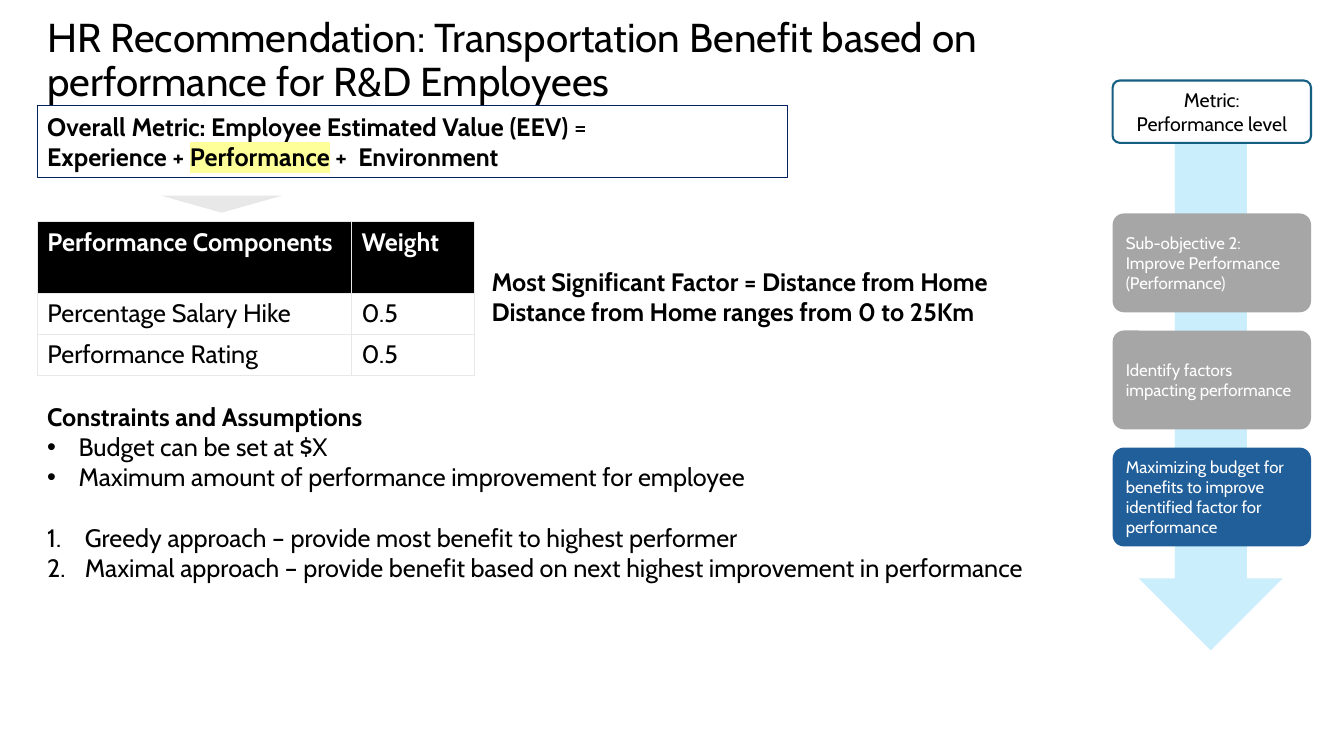
import pptx
import pptx.dml.color
import pptx.enum.shapes
import pptx.enum.text
import pptx.oxml
import pptx.oxml.ns
import pptx.util

Cm = pptx.util.Cm
Pt = pptx.util.Pt
SHAPE = pptx.enum.shapes.MSO_SHAPE
ALIGN = pptx.enum.text.PP_ALIGN
ANCHOR = pptx.enum.text.MSO_ANCHOR
NAMESPACE = pptx.oxml.ns.nsdecls("a")

FONT = "Cabin"
BLACK, WHITE, GREY, PALE = "000000", "FFFFFF", "A6A6A6", "E8E8E8"
LEFT = 0.94


def color(hex_string):
    return pptx.dml.color.RGBColor.from_string(hex_string)


def element(xml):
    return pptx.oxml.parse_xml(xml)


def add_run(paragraph, text, size, hex_color, bold=False, highlight=None):
    run = paragraph.add_run()
    run.text = text
    run.font.size = Pt(size)
    run.font.bold = bold
    run.font.color.rgb = color(hex_color)
    run.font.name = FONT
    if highlight:
        latin = run.font._element.find(pptx.oxml.ns.qn("a:latin"))
        latin.addprevious(element(
            f'<a:highlight {NAMESPACE}><a:srgbClr val="{highlight}"/></a:highlight>'))


def add_bullet(paragraph, bullet, indent):
    properties = paragraph._p.get_or_add_pPr()
    properties.set("marL", str(Cm(indent)))
    properties.set("indent", str(-Cm(indent)))
    properties.append(element(f'<a:buFont {NAMESPACE} typeface="Arial"/>'
                              if bullet == "•" else
                              f'<a:buFont {NAMESPACE} typeface="+mj-lt"/>'))
    properties.append(element(f'<a:buChar {NAMESPACE} char="•"/>'
                              if bullet == "•" else
                              f'<a:buAutoNum {NAMESPACE} type="{bullet}"/>'))


def write(frame, text, size=18, hex_color=BLACK, bold=False, align=ALIGN.LEFT,
          bullet=None, indent=0, space_before=0, line_spacing=None):
    first = frame.paragraphs[0]
    paragraph = frame.add_paragraph() if first.runs else first
    paragraph.alignment = align
    paragraph.space_before = Pt(space_before)
    if line_spacing:
        paragraph.line_spacing = line_spacing
    if bullet:
        add_bullet(paragraph, bullet, indent)
    pieces = [(text, bold, None)] if isinstance(text, str) else text
    for piece, piece_bold, highlight in pieces:
        add_run(paragraph, piece, size, hex_color, piece_bold, highlight)


def add_shape(slide, kind, box, fill=None, line=None, line_width=1,
              anchor=ANCHOR.MIDDLE):
    shape = slide.shapes.add_shape(kind, *map(Cm, box))
    shape.shadow.inherit = False
    if fill:
        shape.fill.solid()
        shape.fill.fore_color.rgb = color(fill)
    else:
        shape.fill.background()
    if line:
        shape.line.color.rgb = color(line)
        shape.line.width = Pt(line_width)
    else:
        shape.line.fill.background()
    shape.text_frame.word_wrap = True
    shape.text_frame.vertical_anchor = anchor
    return shape


def add_card(slide, top, height, lines, fill, line=None, **text_format):
    card = add_shape(slide, SHAPE.ROUNDED_RECTANGLE, (28.04, top, 5, height),
                     fill, line, 1.5)
    card.adjustments[0] = 0.114
    for text in lines:
        write(card.text_frame, text, **text_format)


def add_text_box(slide, box):
    frame = slide.shapes.add_textbox(*map(Cm, box)).text_frame
    frame.word_wrap = True
    return frame


def set_borders(cell, hex_color):
    properties = cell._tc.get_or_add_tcPr()
    for index, side in enumerate(("lnL", "lnR", "lnT", "lnB")):
        properties.insert(index, element(
            f'<a:{side} {NAMESPACE} w="{Pt(1)}"><a:solidFill>'
            f'<a:srgbClr val="{hex_color}"/></a:solidFill></a:{side}>'))


def add_weight_table(slide, rows, widths, heights):
    frame = slide.shapes.add_table(len(rows), len(widths), Cm(LEFT), Cm(5.59),
                                   Cm(sum(widths)), Cm(sum(heights)))
    table = frame.table
    table.first_row = table.horz_banding = False
    for column, width in zip(table.columns, widths):
        column.width = Cm(width)
    for row_index, (row, height) in enumerate(zip(rows, heights)):
        table.rows[row_index].height = Cm(height)
        header = row_index == 0
        for column_index, text in enumerate(row):
            cell = table.cell(row_index, column_index)
            if header:
                cell.fill.solid()
                cell.fill.fore_color.rgb = color(BLACK)
            else:
                cell.fill.background()
            set_borders(cell, PALE)
            write(cell.text_frame, text, bold=header,
                  hex_color=WHITE if header else BLACK)


def add_title(slide, text):
    title = slide.shapes.title
    title.left, title.top, title.width, title.height = map(
        Cm, (LEFT, 0.43, 29.31, 2.24))
    frame = title.text_frame
    frame.word_wrap = True
    frame.auto_size = pptx.enum.text.MSO_AUTO_SIZE.NONE
    frame.vertical_anchor = ANCHOR.MIDDLE
    write(frame, text, size=28.8, line_spacing=0.9)


def add_process(slide):
    add_shape(slide, SHAPE.DOWN_ARROW, (28.7, 3.61, 3.63, 12.78), "CAEEFB")
    steps = [
        (["Sub-objective 2:", "Improve Performance", "(Performance)"], GREY),
        (["Identify factors impacting performance"], GREY),
        (["Maximizing budget for benefits to improve identified factor for "
          "performance"], "215F9A"),
    ]
    for index, (lines, fill) in enumerate(steps):
        add_card(slide, 5.38 + 2.95 * index, 2.49, lines, fill,
                 size=12, hex_color=WHITE)
    add_card(slide, 2.03, 1.57, ["Metric:", "Performance level"], WHITE, "156082",
             size=14, align=ALIGN.CENTER)


def add_metric(slide):
    metric = add_shape(slide, SHAPE.RECTANGLE, (LEFT, 2.67, 18.9, 1.8),
                       line="002060", line_width=0.75, anchor=ANCHOR.TOP)
    write(metric.text_frame, [
        ("Overall Metric: Employee Estimated Value (EEV)", True, None),
        (" =", False, None)])
    write(metric.text_frame, [
        ("Experience + ", True, None),
        ("Performance", True, "FFFF99"),
        (" +  Environment", True, None)])
    pointer = add_shape(slide, SHAPE.ISOSCELES_TRIANGLE,
                        (4.06, 4.93, 3.05, 0.43), PALE)
    pointer.rotation = 180


def add_findings(slide):
    factor = add_text_box(slide, (12.14, 6.58, 15.21, 1.8))
    for text in ("Most Significant Factor = Distance from Home",
                 "Distance from Home ranges from 0 to 25Km"):
        write(factor, text, bold=True)

    constraints = add_text_box(slide, (LEFT, 9.98, 25.7, 4.88))
    write(constraints, "Constraints and Assumptions", bold=True)
    for text in ("Budget can be set at $X",
                 "Maximum amount of performance improvement for employee"):
        write(constraints, text, bullet="•", indent=0.79)
    approaches = (
        "Greedy approach – provide most benefit to highest performer",
        "Maximal approach – provide benefit based on next highest improvement "
        "in performance")
    for index, text in enumerate(approaches):
        write(constraints, text, bullet="arabicPeriod", indent=0.95,
              space_before=0 if index else 21.6)


def main():
    presentation = pptx.Presentation()
    presentation.slide_width = Cm(33.87)
    presentation.slide_height = Cm(19.05)
    slide = presentation.slides.add_slide(presentation.slide_layouts[5])
    add_process(slide)
    add_metric(slide)
    add_title(slide, "HR Recommendation: Transportation Benefit based on "
                     "performance for R&D Employees")
    add_weight_table(slide, [("Performance Components", "Weight"),
                             ("Percentage Salary Hike", "0.5"),
                             ("Performance Rating", "0.5")],
                     widths=(7.92, 3.1), heights=(1.8, 1.04, 1.04))
    add_findings(slide)
    presentation.save("out.pptx")


if __name__ == "__main__":
    main()
